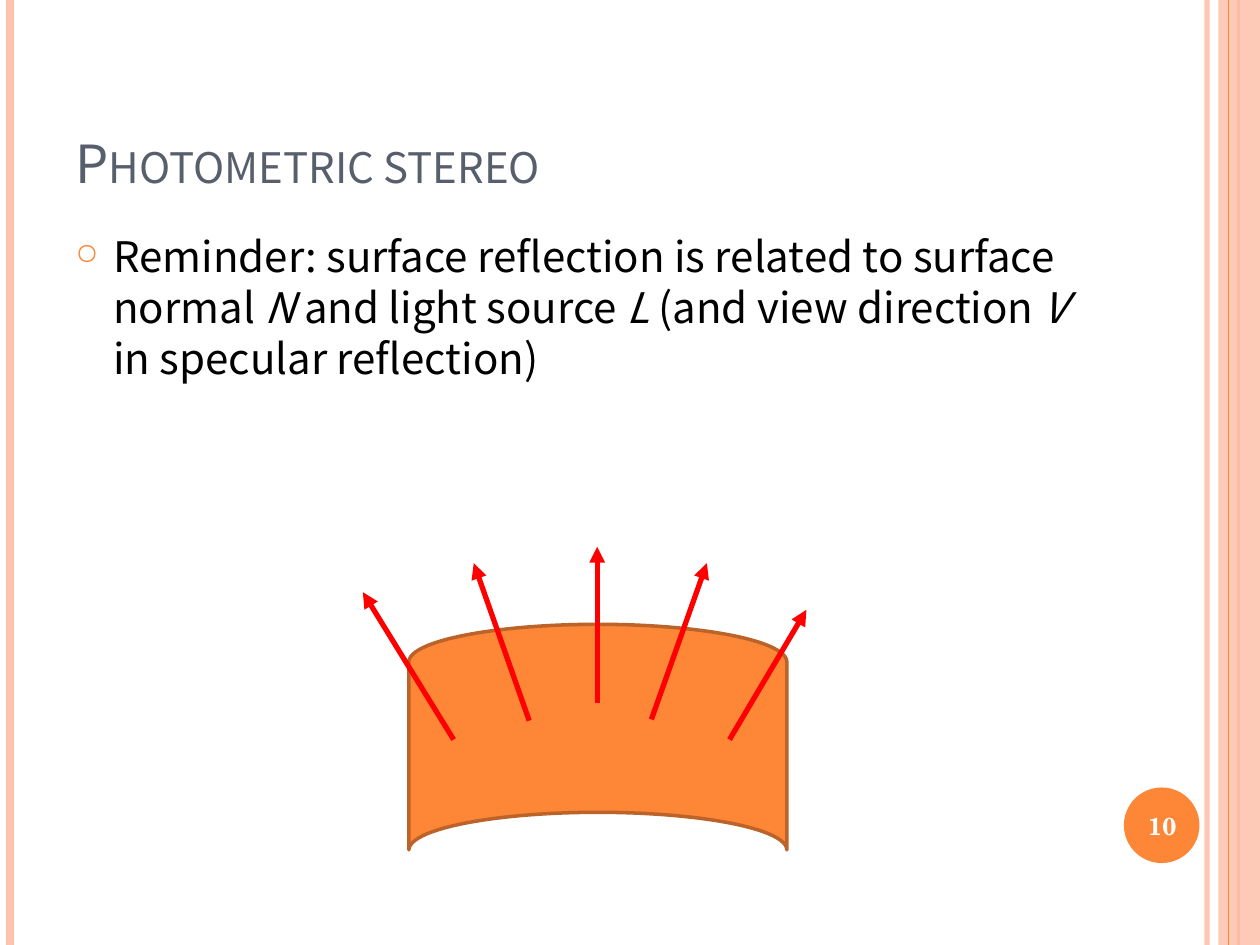
from lxml import etree
from pptx import Presentation
from pptx.dml.color import RGBColor
from pptx.enum import shapes, text
from pptx.oxml.ns import qn
from pptx.util import Inches, Pt

SANS = "Noto Sans CJK SC"
SERIF = "TeX Gyre Schola"
ORANGE, PEACH, RED = "FE8637", "FEC3AE", "FF0000"


def color(value):
    """Turn a hex string into a colour."""
    return RGBColor.from_string(value)


def add_tag(parent, tag, **attributes):
    """Append a drawing element with the given attributes."""
    return etree.SubElement(parent, qn(tag), attributes)


def set_alpha(fill_parent, percent):
    """Make the solid fill inside an element partly transparent."""
    fill = fill_parent.find(qn("a:solidFill"))
    add_tag(fill[0], "a:alpha", val=str(percent * 1000))


def add_line(slide, start, end, hex_color, width, alpha=None, arrow=False):
    """Draw a straight line, optionally with an arrowhead at its end."""
    line = slide.shapes.add_connector(
        shapes.MSO_CONNECTOR.STRAIGHT, *map(Inches, start + end))
    line.line.color.rgb = color(hex_color)
    line.line.width = Pt(width)
    outline = line.line._get_or_add_ln()
    if alpha:
        set_alpha(outline, alpha)
    if arrow:
        add_tag(outline, "a:tailEnd", type="triangle")
    add_tag(line._element.spPr, "a:effectLst")


def add_filled(slide, kind, box, fill, border=None, rotation=0, alpha=None):
    """Draw a preset shape with a solid fill."""
    shape = slide.shapes.add_shape(kind, *map(Inches, box))
    shape.shadow.inherit = False
    shape.rotation = rotation
    shape.fill.solid()
    shape.fill.fore_color.rgb = color(fill)
    if alpha:
        set_alpha(shape._element.spPr, alpha)
    if border:
        shape.line.color.rgb = color(border)
        shape.line.width = Pt(2)
    else:
        shape.line.fill.background()


def add_text(slide, box, anchor):
    """Add a wrapping text box and return its first paragraph."""
    frame = slide.shapes.add_textbox(*map(Inches, box)).text_frame
    frame.word_wrap = True
    frame.vertical_anchor = anchor
    return frame.paragraphs[0]


def style(font, name, size, hex_color, bold=False):
    """Set the look of a font."""
    font.name, font.size, font.bold = name, Pt(size), bold
    font.color.rgb = color(hex_color)


def add_bullet(paragraph):
    """Give a paragraph a hanging round bullet."""
    properties = paragraph._p.get_or_add_pPr()
    indent = Inches(0.3)
    properties.set("marL", str(indent))
    properties.set("indent", str(-indent))
    add_tag(add_tag(properties, "a:buClr"), "a:srgbClr", val=ORANGE)
    add_tag(properties, "a:buSzPct", val="70000")
    add_tag(properties, "a:buChar", char="○")


def add_frame(slide):
    """Draw the stripes at the slide edges and the page number disc."""
    for x, hex_color, width, alpha in (
            (9.58, PEACH, 3, 93), (0.08, PEACH, 4.5, None), (9.83, ORANGE, 1.5, None)):
        add_line(slide, (x, 0), (x, 7.5), hex_color, width, alpha)
    add_filled(slide, shapes.MSO_SHAPE.RECTANGLE, (9.67, 0, 0.33, 7.5), PEACH, alpha=87)
    add_line(slide, (9.75, 0), (9.75, 7.5), ORANGE, 0.75)
    add_filled(slide, shapes.MSO_SHAPE.OVAL, (8.92, 6.25, 0.6, 0.6), ORANGE)


def add_wording(slide):
    """Write the title, the reminder and the page number."""
    title = add_text(slide, (0.5, 0.34, 8.17, 1.25), text.MSO_ANCHOR.BOTTOM)
    title.text = "Photometric stereo"
    style(title.runs[0].font, SANS, 30, "575F6D")
    title.runs[0].font._element.set("cap", "small")

    reminder = add_text(slide, (0.5, 1.78, 8.17, 5.3), text.MSO_ANCHOR.TOP)
    add_bullet(reminder)
    reminder.line_spacing = Pt(29)
    pieces = ("Reminder: surface reflection is related to surface normal ", "N",
              " and light source ", "L", " (and view direction ", "V",
              " in specular reflection)")
    for index, piece in enumerate(pieces):
        run = reminder.add_run()
        run.text = piece
        style(run.font, SANS, 24, "000000")
        run.font.italic = index % 2 == 1

    number = add_text(slide, (8.89, 6.27, 0.67, 0.57), text.MSO_ANCHOR.MIDDLE)
    number.text = "10"
    number.alignment = text.PP_ALIGN.CENTER
    style(number.runs[0].font, SERIF, 14, "FFFFFF", bold=True)


def add_surface(slide):
    """Draw the curved surface with its normals."""
    add_filled(slide, shapes.MSO_SHAPE.FLOWCHART_STORED_DATA, (3.85, 4.35, 1.79, 3),
               ORANGE, border="BC6329", rotation=90)
    normals = (((3.6, 5.87), (2.88, 4.7)), ((4.2, 5.72), (3.76, 4.47)),
               ((4.74, 5.58), (4.74, 4.34)), ((5.17, 5.71), (5.61, 4.47)),
               ((5.79, 5.87), (6.4, 4.84)))
    for foot, tip in normals:
        add_line(slide, foot, tip, RED, 3, arrow=True)


def main():
    """Build the slide and save it."""
    deck = Presentation()
    deck.slide_width, deck.slide_height = Inches(10), Inches(7.5)
    slide = deck.slides.add_slide(deck.slide_layouts[6])
    add_frame(slide)
    add_wording(slide)
    add_surface(slide)
    deck.save("out.pptx")


if __name__ == "__main__":
    main()
